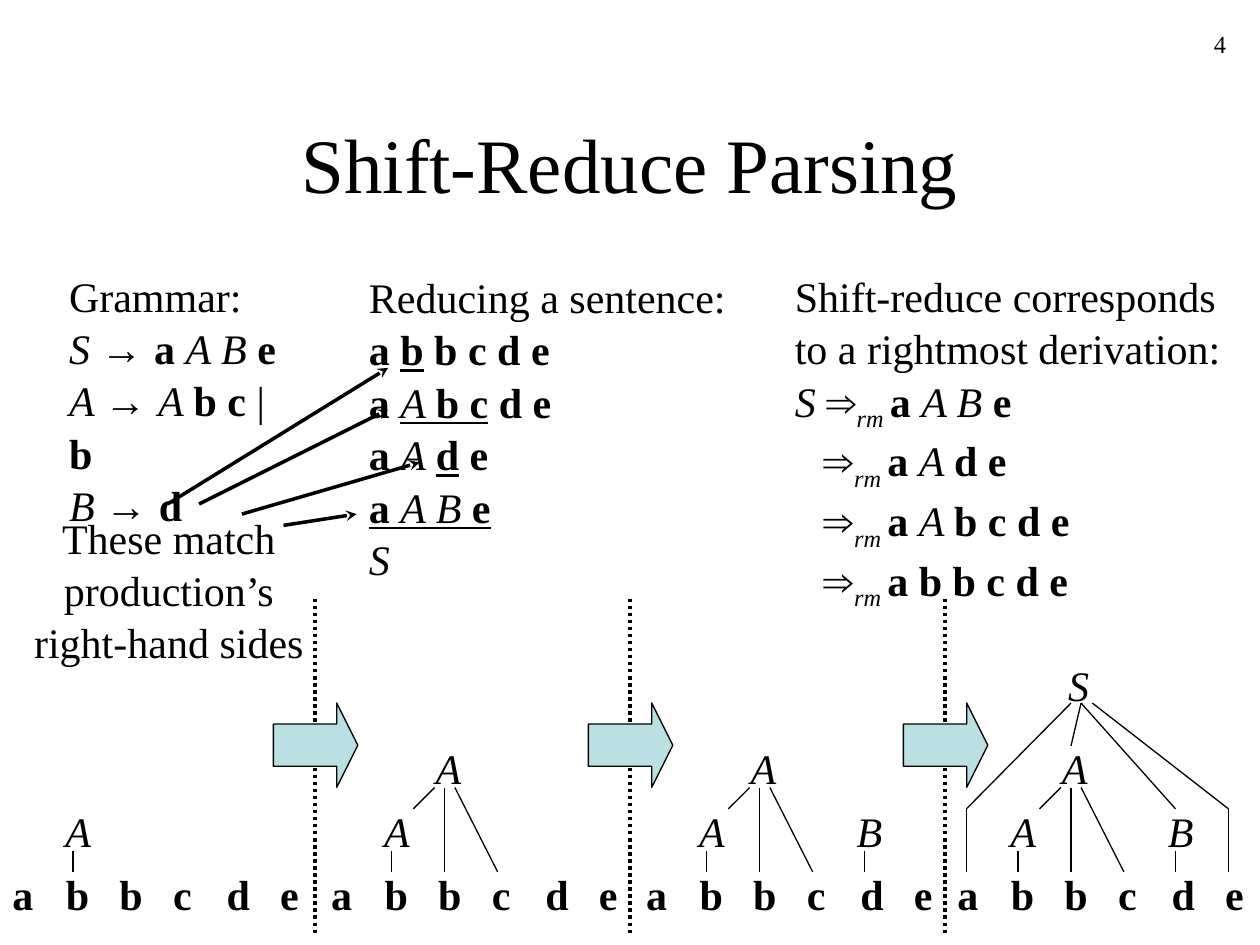
from lxml.etree import SubElement
from pptx import Presentation
from pptx.dml.color import RGBColor
from pptx.enum.dml import MSO_LINE
from pptx.enum.shapes import MSO_CONNECTOR, MSO_SHAPE
from pptx.enum.text import MSO_ANCHOR, MSO_AUTO_SIZE, PP_ALIGN
from pptx.oxml.ns import qn
from pptx.util import Inches, Pt

BLACK = "000000"
PALE_BLUE = "BBE0E3"
SERIF = "Times New Roman"
SANS = "Arial"

PRODUCES = ("→ ", "arrow")
DERIVES = [("⇒", "arrow"), ("rm ", "italic subscript")]

GRAMMAR = [
    [("Grammar:", "")],
    [("S ", "italic"), PRODUCES, ("a ", "bold"), ("A B ", "italic"), ("e", "bold")],
    [("A ", "italic"), PRODUCES, ("A ", "italic"), ("b c ", "bold"), ("| ", ""), ("b", "bold")],
    [("B ", "italic"), PRODUCES, ("d", "bold")],
]
REDUCTION = [
    [("Reducing a sentence:", "")],
    [("a ", "bold"), ("b", "bold underline"), (" b c d e", "bold")],
    [("a ", "bold"), ("A ", "italic underline"), ("b c", "bold underline"), (" d e", "bold")],
    [("a ", "bold"), ("A ", "italic"), ("d", "bold underline"), (" e", "bold")],
    [("a ", "bold underline"), ("A B ", "italic underline"), ("e", "bold underline")],
    [("S", "italic")],
]
DERIVATION = [
    [("Shift-reduce corresponds", "")],
    [("to a rightmost derivation:", "")],
    [("S ", "italic"), *DERIVES, ("a ", "bold"), ("A B ", "italic"), ("e", "bold")],
    [*DERIVES, ("a ", "bold"), ("A ", "italic"), ("d e", "bold")],
    [*DERIVES, ("a ", "bold"), ("A ", "italic"), ("b c d e", "bold")],
    [*DERIVES, ("a b b c d e", "bold")],
]
MATCHES = [[(line, "")] for line in ("These match", "production’s", "right-hand sides")]
SENTENCE = [[("\t".join("abbcde"), "bold")]]


def color(value):
    return RGBColor.from_string(value)


class SlideBuilder:
    def __init__(self, slide):
        self.slide = slide
        self.size = 24
        self.line_spacing = 1.04

    def title(self, text, left, top, width, height):
        shape = self.slide.shapes.title
        shape.left, shape.top = Inches(left), Inches(top)
        shape.width, shape.height = Inches(width), Inches(height)
        shape.text_frame.text = text
        shape.text_frame.vertical_anchor = MSO_ANCHOR.MIDDLE
        paragraph = shape.text_frame.paragraphs[0]
        paragraph.alignment = PP_ALIGN.CENTER
        self.format_run(paragraph.runs[0], "", 44)

    def format_run(self, run, style, size):
        font = run.font
        font.name = SANS if "arrow" in style else SERIF
        font.size = Pt(size)
        font.color.rgb = color(BLACK)
        font.bold = "bold" in style
        font.italic = "italic" in style
        font.underline = "underline" in style
        if "subscript" in style:
            run._r.get_or_add_rPr().set("baseline", "-25000")

    def text(self, lines, left, top, width, height, size=None,
             alignment=PP_ALIGN.LEFT, wrap=False):
        shape = self.slide.shapes.add_textbox(
            Inches(left), Inches(top), Inches(width), Inches(height))
        frame = shape.text_frame
        frame.word_wrap = wrap
        frame.auto_size = MSO_AUTO_SIZE.SHAPE_TO_FIT_TEXT
        for index, segments in enumerate(lines):
            paragraph = frame.add_paragraph() if index else frame.paragraphs[0]
            paragraph.alignment = alignment
            paragraph.line_spacing = self.line_spacing
            for content, style in segments:
                run = paragraph.add_run()
                run.text = content
                self.format_run(run, style, size or self.size)
        return frame

    def symbol(self, letter, left, top):
        self.text([[(letter, "italic")]], left, top, 0.4, 0.5)

    def sentence(self, left):
        frame = self.text(SENTENCE, left, 6.83, 2.47, 0.5)
        properties = frame.paragraphs[0]._p.get_or_add_pPr()
        stops = SubElement(properties, qn("a:tabLst"))
        for index in range(1, 6):
            SubElement(stops, qn("a:tab"), pos=str(Pt(30.6 * index)), algn="l")

    def line(self, start, end, width=0.75, dash=None, arrow=False):
        connector = self.slide.shapes.add_connector(
            MSO_CONNECTOR.STRAIGHT, *(Inches(value) for value in (*start, *end)))
        connector.line.color.rgb = color(BLACK)
        connector.line.width = Pt(width)
        if dash:
            connector.line.dash_style = dash
        if arrow:
            SubElement(connector.line._get_or_add_ln(), qn("a:tailEnd"), type="stealth")
        SubElement(connector._element.spPr, qn("a:effectLst"))

    def block_arrow(self, left, top, size):
        shape = self.slide.shapes.add_shape(
            MSO_SHAPE.RIGHT_ARROW, Inches(left), Inches(top), Inches(size), Inches(size))
        shape.adjustments[1] = 0.25
        shape.shadow.inherit = False
        shape.fill.solid()
        shape.fill.fore_color.rgb = color(PALE_BLUE)
        shape.line.color.rgb = color(BLACK)
        shape.line.width = Pt(0.75)

    def parse_tree(self, left, step):
        self.sentence(left)
        symbols = [("A", 0.42, 6.33)]
        branches = [((0.58, 6.75), (0.58, 6.92))]
        if step >= 2:
            symbols.append(("A", 0.83, 5.83))
            branches += [((0.92, 6.25), (0.75, 6.42)),
                         ((1, 6.25), (1, 6.92)),
                         ((1.08, 6.25), (1.42, 6.92))]
        if step >= 3:
            symbols.append(("B", 1.67, 6.33))
            branches.append(((1.83, 6.75), (1.83, 6.92)))
        if step >= 4:
            symbols.append(("S", 0.88, 5.17))
            branches += [((1, 5.58), (0.17, 6.42)),
                         ((0.17, 6.42), (0.17, 6.92)),
                         ((1.08, 5.58), (1, 5.92)),
                         ((1.08, 5.58), (1.83, 6.42)),
                         ((1.17, 5.58), (2.25, 6.42)),
                         ((2.25, 6.42), (2.25, 6.92))]
        for letter, offset, top in symbols:
            self.symbol(letter, left + offset, top)
        for (start_x, start_y), (end_x, end_y) in branches:
            self.line((left + start_x, start_y), (left + end_x, end_y))


def main():
    presentation = Presentation()
    presentation.slide_width = Inches(10)
    presentation.slide_height = Inches(7.5)
    slide = presentation.slides.add_slide(presentation.slide_layouts[5])
    builder = SlideBuilder(slide)

    builder.title("Shift-Reduce Parsing", 0.75, 0.67, 8.5, 1.25)
    builder.text([[("4", "")]], 7.75, 0.17, 2.08, 0.5, 14, PP_ALIGN.RIGHT, True)
    builder.text(GRAMMAR, 0.45, 2.08, 1.96, 1.7, wrap=True)
    builder.text(REDUCTION, 2.83, 2.09, 3.03, 2.5)
    derivation = builder.text(DERIVATION, 6.21, 2.08, 3.58, 2.72)
    for paragraph in derivation.paragraphs[3:]:
        paragraph._p.get_or_add_pPr().set("marL", str(Inches(0.23)))

    for step, left in enumerate((0, 2.53, 5.03, 7.5), start=1):
        builder.parse_tree(left, step)
    for divider in (2.5, 5, 7.5):
        builder.line((divider, 4.75), (divider, 7.42), 2, MSO_LINE.ROUND_DOT)
    for divider in (2.5, 5, 7.5):
        builder.block_arrow(divider - 0.33, 5.58, 0.67)

    builder.text(MATCHES, 0.17, 4, 2.34, 1.3, alignment=PP_ALIGN.CENTER)
    for start, end in (((1.33, 4), (3.08, 2.92)),
                       ((1.58, 4), (3.08, 3.25)),
                       ((1.92, 4.08), (3.33, 3.67)),
                       ((2.25, 4.17), (2.83, 4.08))):
        builder.line(start, end, 2, arrow=True)

    presentation.save("out.pptx")


if __name__ == "__main__":
    main()
